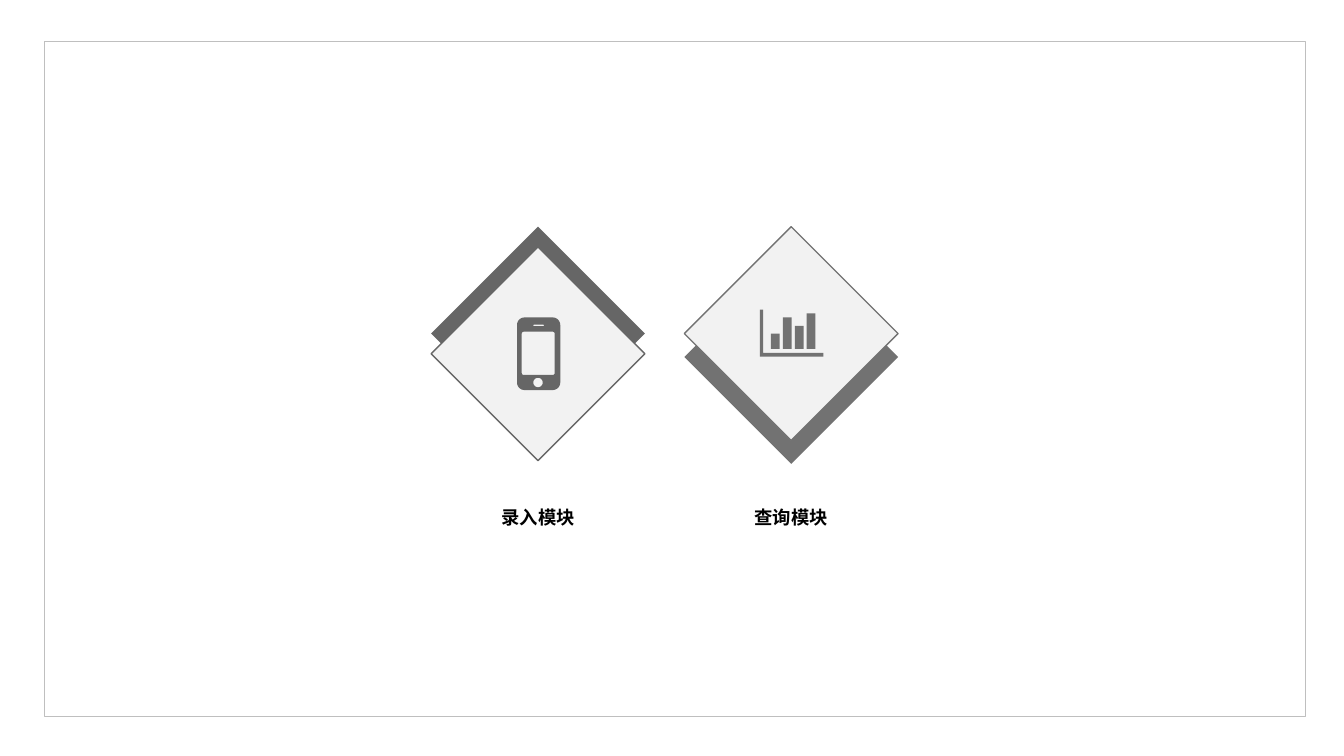
"""Build a slide showing two modules as diamond badges with icons and labels."""
from math import cos, pi, sin

from lxml import etree
from pptx import Presentation
from pptx import util as u
from pptx.dml.color import RGBColor
from pptx.enum import shapes, text
from pptx.oxml.ns import qn

WHITE = RGBColor(0xFF, 0xFF, 0xFF)
BLACK = RGBColor(0, 0, 0)
BORDER = RGBColor(0xBF, 0xBF, 0xBF)
PALE = RGBColor(0xF2, 0xF2, 0xF2)
DARK = RGBColor(0x66, 0x66, 0x66)
MID = RGBColor(0x72, 0x72, 0x72)

FONT = "Arial"
SIDE = 3.81
FIRST_CENTRE, PITCH = 13.56, 6.38
LABEL_TOP, LABEL_WIDTH, LABEL_HEIGHT = 12.52, 4.98, 0.91


def rounded(left, top, width, height, radius):
    """Return the outline of a rounded box, corner by corner."""
    corners = [
        (left + width - radius, top + height - radius),
        (left + radius, top + height - radius),
        (left + radius, top + radius),
        (left + width - radius, top + radius),
    ]
    return [
        (x + radius * cos(angle), y + radius * sin(angle))
        for quarter, (x, y) in enumerate(corners)
        for angle in [(quarter + step / 8) * pi / 2 for step in range(9)]
    ]


def bar(left, height, width=0.22, base=0.99):
    """Return the outline of one upright bar."""
    top, right = base - height, left + width
    return [(left, base), (left, top), (right, top), (right, base)]


body = rounded(0, 0, 1.09, 1.83, 0.19)
screen = rounded(0.12, 0.36, 0.83, 1.09, 0.05)
speaker = rounded(0.41, 0.18, 0.27, 0.04, 0.02)
button = rounded(0.41, 1.52, 0.24, 0.24, 0.12)
PHONE = [body] + [hole[::-1] for hole in (screen, speaker, button)]

axes = [(0, 0), (0.08, 0), (0.08, 1.09), (1.6, 1.09), (1.6, 1.19), (0, 1.19)]
BARS = [axes] + [bar(0.28 + 0.3 * i, h) for i, h in enumerate((0.38, 0.79, 0.58, 0.89))]

MODULES = [
    {"label": "录入模块", "tone": DARK, "back": 6.5, "front": 7.01,
     "icon": PHONE, "icon_at": (13.03, 8.0)},
    {"label": "查询模块", "tone": MID, "back": 7.09, "front": 6.5,
     "icon": BARS, "icon_at": (19.15, 7.8)},
]


def paint(part, fill=None, line=None, weight=1):
    """Set the fill and outline of a part and drop its shadow."""
    part.shadow.inherit = False
    if fill is None:
        part.fill.background()
    else:
        part.fill.solid()
        part.fill.fore_color.rgb = fill
    if line is None:
        part.line.fill.background()
    else:
        part.line.color.rgb = line
        part.line.width = u.Pt(weight)


def add_box(left, top, width, height, **look):
    box = slide.shapes.add_shape(
        shapes.MSO_SHAPE.RECTANGLE, *map(u.Cm, (left, top, width, height)))
    paint(box, **look)
    return box


def add_diamond(centre, top, **look):
    add_box(centre - SIDE / 2, top, SIDE, SIDE, **look).rotation = 315


def add_icon(outlines, place, tone):
    first, *others = [[(u.Cm(x), u.Cm(y)) for x, y in outline] for outline in outlines]
    builder = slide.shapes.build_freeform(*first[0])
    builder.add_line_segments(first[1:])
    for outline in others:
        builder.move_to(*outline[0])
        builder.add_line_segments(outline[1:])
    paint(builder.convert_to_shape(*map(u.Cm, place)), fill=tone)


def add_label(words, centre):
    label = slide.shapes.add_textbox(*map(
        u.Cm, (centre - LABEL_WIDTH / 2, LABEL_TOP, LABEL_WIDTH, LABEL_HEIGHT)))
    frame = label.text_frame
    frame.word_wrap = False
    frame.vertical_anchor = text.MSO_ANCHOR.BOTTOM
    paragraph = frame.paragraphs[0]
    paragraph.alignment = text.PP_ALIGN.CENTER
    run = paragraph.add_run()
    run.text = words
    run.font.name = FONT
    run.font.size = u.Pt(13.1)
    run.font.bold = True
    run.font.color.rgb = BLACK


deck = Presentation()
deck.slide_width, deck.slide_height = u.Cm(33.87), u.Cm(19.05)
slide = deck.slides.add_slide(deck.slide_layouts[6])

panel = add_box(0.48, 0.53, 32.92, 18.14, fill=WHITE)
panel_colour = panel.fill._xPr.find(qn("a:solidFill"))[0]
etree.SubElement(panel_colour, qn("a:alpha"), val="83000")
add_box(1.12, 1.04, 31.78, 17.02, line=BORDER, weight=0.25)

for position, module in enumerate(MODULES):
    centre = FIRST_CENTRE + position * PITCH
    add_diamond(centre, module["back"], fill=module["tone"])
    add_diamond(centre, module["front"], fill=PALE, line=module["tone"])
    add_icon(module["icon"], module["icon_at"], module["tone"])
    add_label(module["label"], centre)

deck.save("out.pptx")
